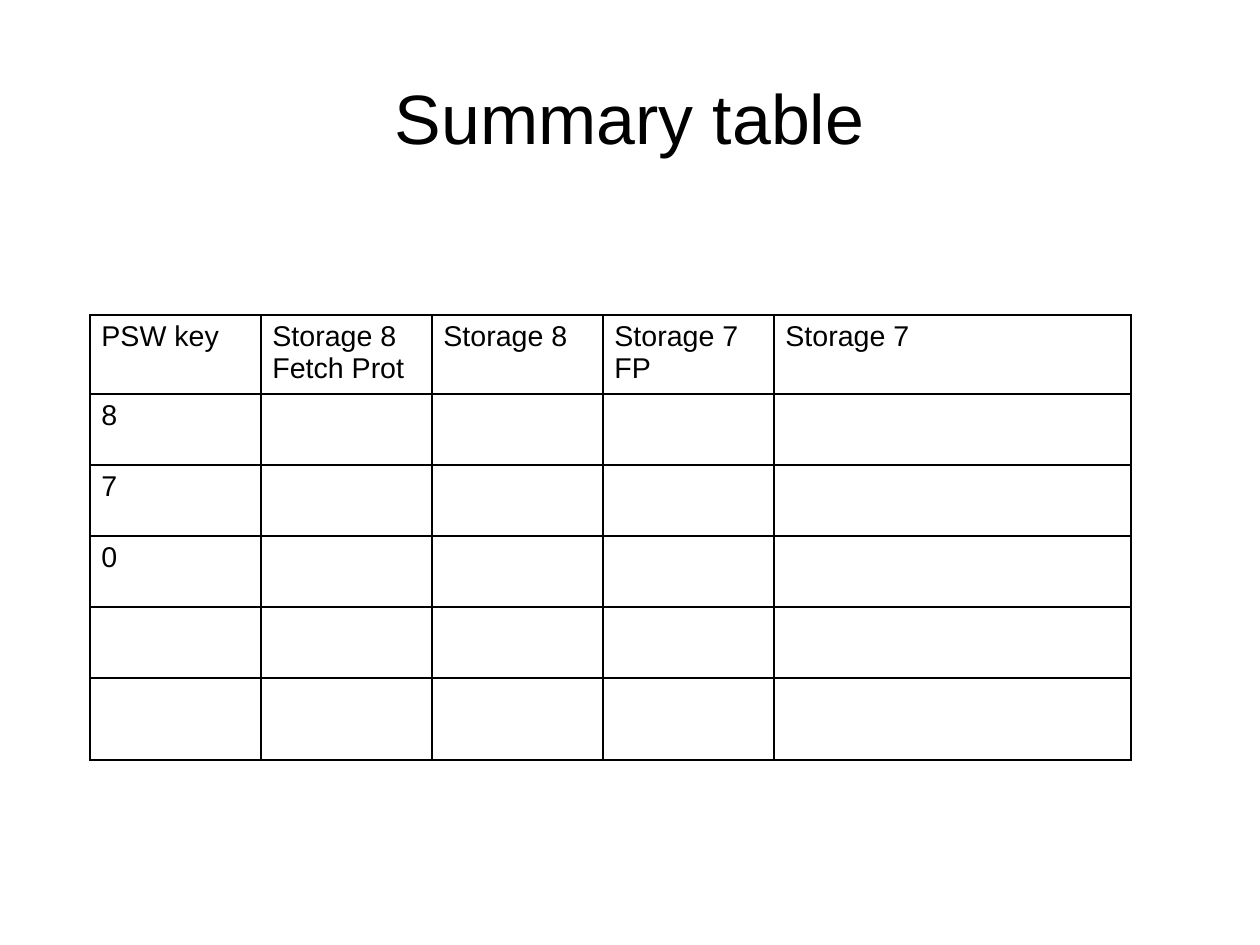
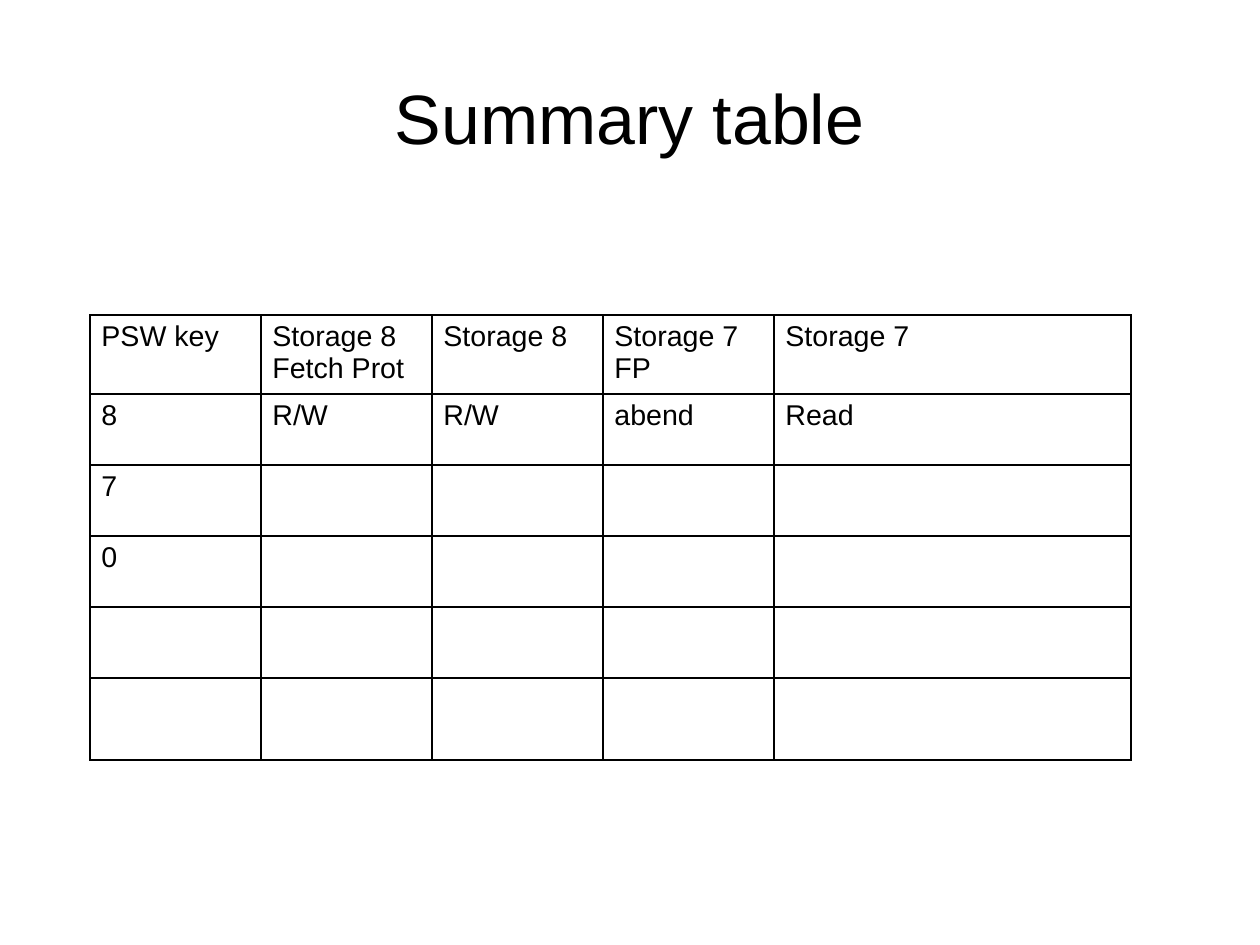
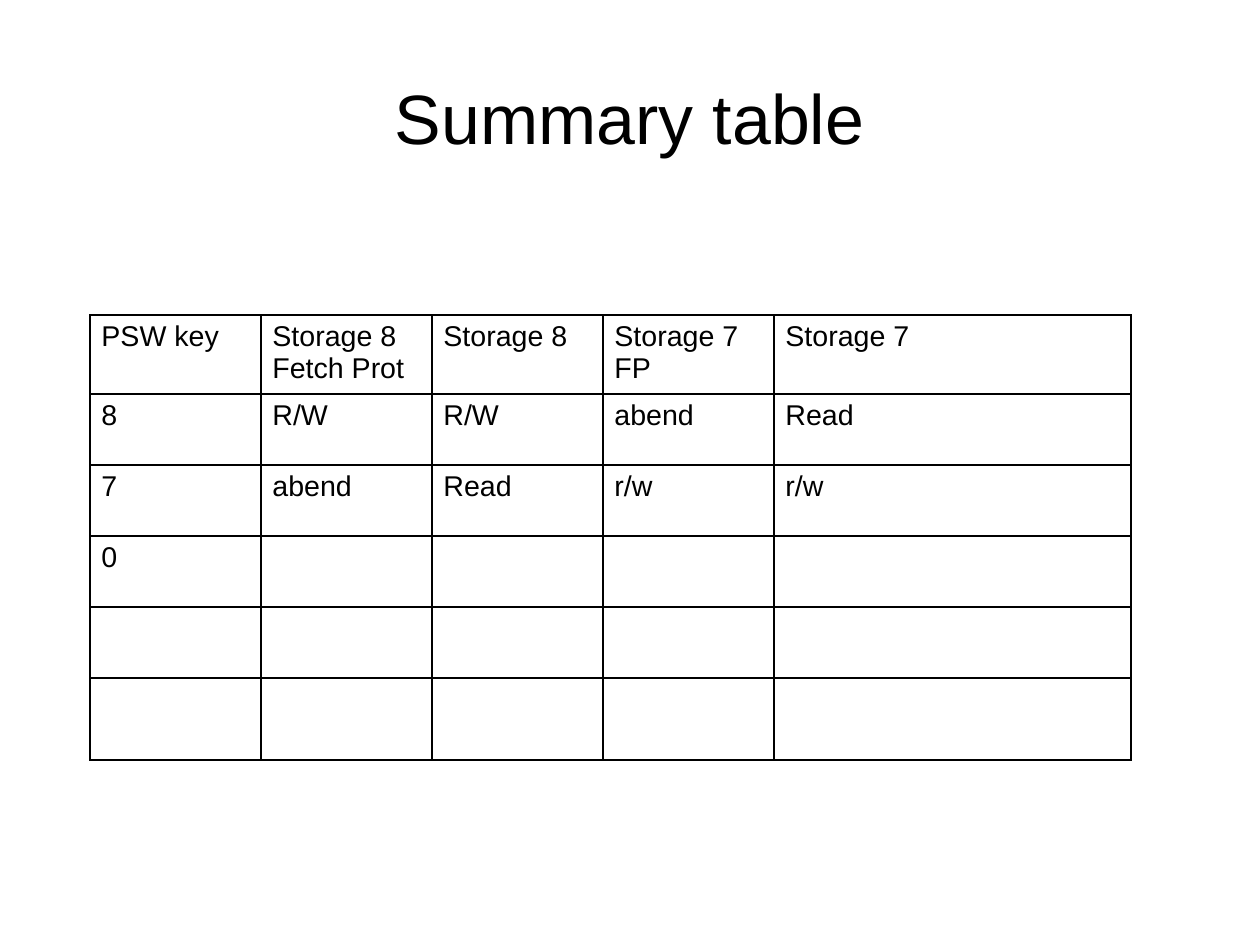
"""Build three slides that fill in a storage key summary table step by step."""
from lxml.etree import SubElement
from pptx import Presentation
from pptx.dml.color import RGBColor
from pptx.enum.text import MSO_ANCHOR as Anchor, MSO_AUTO_SIZE as AutoSize, PP_ALIGN as Align
from pptx.oxml.ns import qn
from pptx.util import Emu, Pt

PX = 8000
SLIDE_SIZE = (1260, 945)
TITLE_BOX = (63, 38, 1134, 158)
TITLE_ONLY = 5
FONT = "Arial"
BLACK = "000000"
BORDER_WIDTH = 1.13

TABLE_ORIGIN = (90, 315)
COLUMN_WIDTHS = [171] * 4 + [357]
ROW_HEIGHTS = [79] + [71] * 4 + [82]
HEADER = ["PSW key", "Storage 8\nFetch Prot", "Storage 8", "Storage 7\nFP", "Storage 7"]
KEYS = ["8", "7", "0"]
ANSWERS = [
    ["R/W", "R/W", "abend", "Read"],
    ["abend", "Read", "r/w", "r/w"],
]


def px(length):
    """Turn pixels into EMU."""
    return Emu(length * PX)


def color(hex_text):
    """Turn a hex string into a colour."""
    return RGBColor.from_string(hex_text)


def write_text(frame, text, size=18, fill=BLACK, align=Align.LEFT):
    """Write one formatted paragraph for each line of the text."""
    for index, line in enumerate(text.split("\n")):
        paragraph = frame.add_paragraph() if index else frame.paragraphs[0]
        paragraph.alignment = align
        run = paragraph.add_run()
        run.text = line
        run.font.name = FONT
        run.font.size = Pt(size)
        run.font.color.rgb = color(fill)


def add_title(slide, text):
    """Place and fill the slide's title."""
    title = slide.shapes.title
    title.left, title.top, title.width, title.height = map(px, TITLE_BOX)
    frame = title.text_frame
    frame.margin_left = frame.margin_top = frame.margin_right = frame.margin_bottom = 0
    frame.vertical_anchor = Anchor.MIDDLE
    frame.word_wrap = True
    frame.auto_size = AutoSize.NONE
    write_text(frame, text, size=44, align=Align.CENTER)


def add_borders(cell):
    """Draw a thin line on all four sides of a cell."""
    properties = cell._tc.get_or_add_tcPr()
    for side in ("lnL", "lnR", "lnT", "lnB"):
        line = SubElement(properties, qn(f"a:{side}"), w=str(Pt(BORDER_WIDTH)))
        fill = SubElement(line, qn("a:solidFill"))
        SubElement(fill, qn("a:srgbClr"), val=BLACK)


def add_summary_table(slide, rows):
    """Add the bordered grid and write the given rows from its top."""
    size = (sum(COLUMN_WIDTHS), sum(ROW_HEIGHTS))
    table = slide.shapes.add_table(
        len(ROW_HEIGHTS), len(COLUMN_WIDTHS), *map(px, TABLE_ORIGIN + size)
    ).table
    table.first_row = table.horz_banding = False
    for column, width in zip(table.columns, COLUMN_WIDTHS):
        column.width = px(width)
    for row, height in zip(table.rows, ROW_HEIGHTS):
        row.height = px(height)
    for cell in table.iter_cells():
        add_borders(cell)
        cell.fill.background()
    for row, texts in zip(table.rows, rows):
        for cell, text in zip(row.cells, texts):
            write_text(cell.text_frame, text)


def summary_rows(answered):
    """List the table rows with the first few keys answered."""
    rows = [[key] for key in KEYS]
    for row, answers in zip(rows, ANSWERS[:answered]):
        row.extend(answers)
    return [HEADER] + rows


def main():
    """Build and save the presentation."""
    presentation = Presentation()
    presentation.slide_width, presentation.slide_height = map(px, SLIDE_SIZE)
    layout = presentation.slide_layouts[TITLE_ONLY]
    for answered in range(len(ANSWERS) + 1):
        slide = presentation.slides.add_slide(layout)
        add_title(slide, "Summary table")
        add_summary_table(slide, summary_rows(answered))
    presentation.save("out.pptx")


if __name__ == "__main__":
    main()
